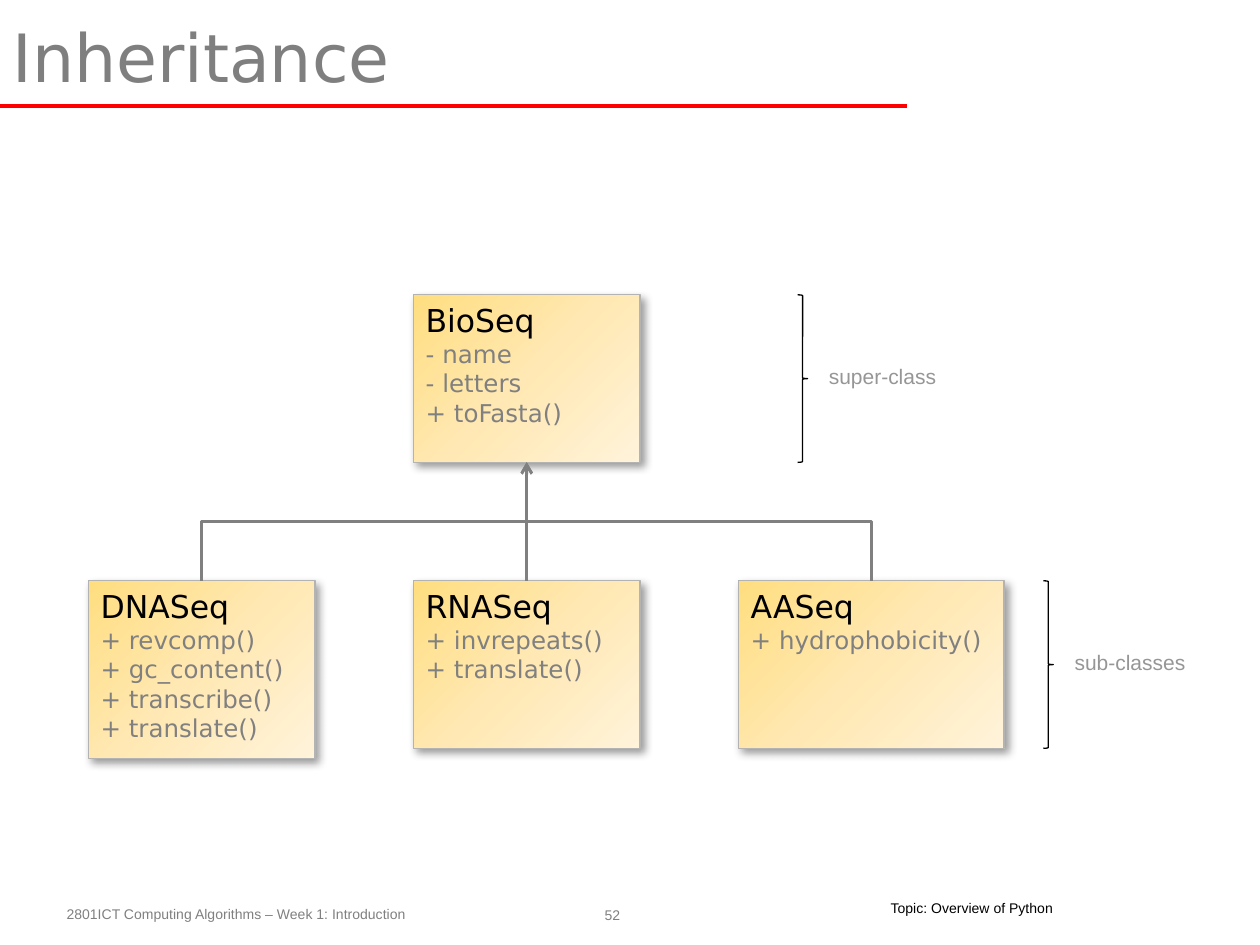
from copy import deepcopy

from pptx import Presentation
from pptx.dml.color import RGBColor
from pptx.enum.shapes import MSO_CONNECTOR as CONNECTOR, MSO_SHAPE as SHAPE
from pptx.enum.text import MSO_ANCHOR as ANCHOR, PP_ALIGN as ALIGN
from pptx.oxml.ns import qn
from pptx.util import Inches, Pt
from lxml.etree import SubElement

COLORS = {
    "title": "7F7F7F", "rule": "FF0000", "black": "000000", "gray": "808080",
    "label": "969696", "edge": "B3B3B3",
    "box_start": "FFDE80", "box_middle": "FFE8B3", "box_end": "FFF3DA",
}
HEADING_FONT, BODY_FONT = "DejaVu Sans", "Arial"
BOX_LEFT, BOX_STEP, BOX_WIDTH, BOX_HEIGHT = 0.7, 2.58, 1.8, 1.33
SUPER_TOP, SUB_TOP = 2.34, 4.61


def rgb(name):
    return RGBColor.from_string(COLORS[name])


def inches(box):
    return [Inches(value) for value in box]


def format_text(paragraph, size, color, font=BODY_FONT, align=ALIGN.LEFT):
    paragraph.alignment = align
    paragraph.font.size = Pt(size)
    paragraph.font.name = font
    paragraph.font.color.rgb = rgb(color)


def set_insets(frame, left, top, right, bottom):
    frame.margin_left, frame.margin_top = Inches(left), Inches(top)
    frame.margin_right, frame.margin_bottom = Inches(right), Inches(bottom)


def add_text(slide, box, text, size, color, align=ALIGN.LEFT, wrap=True):
    frame = slide.shapes.add_textbox(*inches(box)).text_frame
    frame.word_wrap = wrap
    frame.text = text
    format_text(frame.paragraphs[0], size, color, align=align)
    return frame


def style_connector(connector, color, width):
    connector.line.color.rgb = rgb(color)
    connector.line.width = Pt(width)
    SubElement(connector._element.spPr, qn("a:effectLst"))


def add_title(slide, box, text):
    title = slide.shapes.title
    title.left, title.top, title.width, title.height = inches(box)
    frame = title.text_frame
    frame.text = text
    frame.vertical_anchor = ANCHOR.BOTTOM
    format_text(frame.paragraphs[0], 38, "title", HEADING_FONT)
    left, top, width, height = box
    rule_y = Inches(top + height + 0.03)
    rule = slide.shapes.add_connector(
        CONNECTOR.STRAIGHT, Inches(left), rule_y, Inches(left + 7.2), rule_y)
    style_connector(rule, "rule", 2)


def fill_gradient(shape):
    fill = shape.fill
    fill.gradient()
    fill.gradient_angle = 315
    stop_list = shape._element.spPr.find(".//" + qn("a:gsLst"))
    stop_list.append(deepcopy(stop_list[0]))
    names = ("box_start", "box_middle", "box_end")
    for index, (stop, name) in enumerate(zip(fill.gradient_stops, names)):
        stop.position = index / 2
        stop.color.rgb = rgb(name)


def add_drop_shadow(shape):
    shape.shadow.inherit = False
    effects = shape._element.spPr.find(qn("a:effectLst"))
    shadow = SubElement(
        effects, qn("a:outerShdw"), blurRad=str(Pt(5)), dist=str(Pt(3)),
        dir=str(45 * 60000), algn="tl", rotWithShape="0")
    color = SubElement(shadow, qn("a:srgbClr"), val=COLORS["black"])
    SubElement(color, qn("a:alpha"), val="40000")


def add_class(slide, box, name, members):
    shape = slide.shapes.add_shape(SHAPE.RECTANGLE, *inches(box))
    fill_gradient(shape)
    shape.line.color.rgb = rgb("edge")
    shape.line.width = Pt(0.75)
    add_drop_shadow(shape)
    frame = shape.text_frame
    frame.word_wrap = True
    frame.vertical_anchor = ANCHOR.TOP
    frame.text = "\n".join([name, *members])
    heading, *lines = frame.paragraphs
    format_text(heading, 18, "black", HEADING_FONT)
    for line in lines:
        format_text(line, 14, "gray", HEADING_FONT)


def add_inheritance(slide, child, parent):
    start_x, start_y = child[0] + child[2] / 2, child[1]
    end_x, end_y = parent[0] + parent[2] / 2, parent[1] + parent[3]
    center_x, center_y = (start_x + end_x) / 2, (start_y + end_y) / 2
    half_width, half_height = (start_y - end_y) / 2, abs(start_x - end_x) / 2
    from_right = start_x > end_x
    side = -half_width if from_right else half_width
    connector = slide.shapes.add_connector(
        CONNECTOR.ELBOW,
        Inches(center_x + side), Inches(center_y + half_height),
        Inches(center_x - side), Inches(center_y - half_height))
    angle = 270 if from_right else 90
    connector._element.spPr.find(qn("a:xfrm")).set("rot", str(angle * 60000))
    style_connector(connector, "gray", 1.5)
    SubElement(connector.line._get_or_add_ln(), qn("a:tailEnd"), type="arrow")


def add_tier_label(slide, box, text):
    left, top, width, height = box
    brace = slide.shapes.add_shape(SHAPE.RIGHT_BRACE, *inches(box))
    brace.shadow.inherit = False
    brace.fill.background()
    brace.line.color.rgb = rgb("black")
    brace.line.width = Pt(0.75)
    brace.adjustments[0] = 0.083
    label_box = (left + width + 0.07, top + height / 2 - 0.17, 1.25, 0.3)
    add_text(slide, label_box, text, 12, "label")


def add_footer(slide, box):
    left, top, width, height = box
    add_text(slide, (left, top, 4.17, height),
             "2801ICT Computing Algorithms – Week 1: Introduction", 8, "gray")
    number = add_text(slide, (left + 4.31, top - 0.01, 0.24, 0.26), "52", 8,
                      "gray", ALIGN.CENTER, False)
    number.vertical_anchor = ANCHOR.MIDDLE
    set_insets(number, 0.04, 0.04, 0.04, 0.04)
    topic = add_text(slide, (left + width - 1.5, top, 1.5, 0.17),
                     "Topic: Overview of Python", 8, "black", wrap=False)
    set_insets(topic, 0.1, 0, 0.1, 0.04)


def main():
    presentation = Presentation()
    presentation.slide_width, presentation.slide_height = Inches(10), Inches(7.5)
    slide = presentation.slides.add_slide(presentation.slide_layouts[5])
    add_title(slide, (0, -0.27, 8.75, 1.08), "Inheritance")

    parent = (BOX_LEFT + BOX_STEP, SUPER_TOP, BOX_WIDTH, BOX_HEIGHT)
    add_class(slide, parent, "BioSeq", ["- name", "- letters", "+ toFasta()"])
    subclasses = [
        ("DNASeq", BOX_WIDTH, 1.41,
         ["+ revcomp()", "+ gc_content()", "+ transcribe()", "+ translate()"]),
        ("RNASeq", BOX_WIDTH, BOX_HEIGHT, ["+ invrepeats()", "+ translate()"]),
        ("AASeq", 2.11, BOX_HEIGHT, ["+ hydrophobicity()"]),
    ]
    for column, (name, width, height, members) in enumerate(subclasses):
        child = (BOX_LEFT + column * BOX_STEP, SUB_TOP, width, height)
        add_class(slide, child, name, members)
        add_inheritance(slide, child, parent)

    add_tier_label(slide, (6.33, SUPER_TOP, 0.08, BOX_HEIGHT), "super-class")
    add_tier_label(slide, (8.28, SUB_TOP, 0.08, BOX_HEIGHT), "sub-classes")
    add_footer(slide, (0.43, 7.14, 8.04, 0.24))
    presentation.save("out.pptx")


if __name__ == "__main__":
    main()
